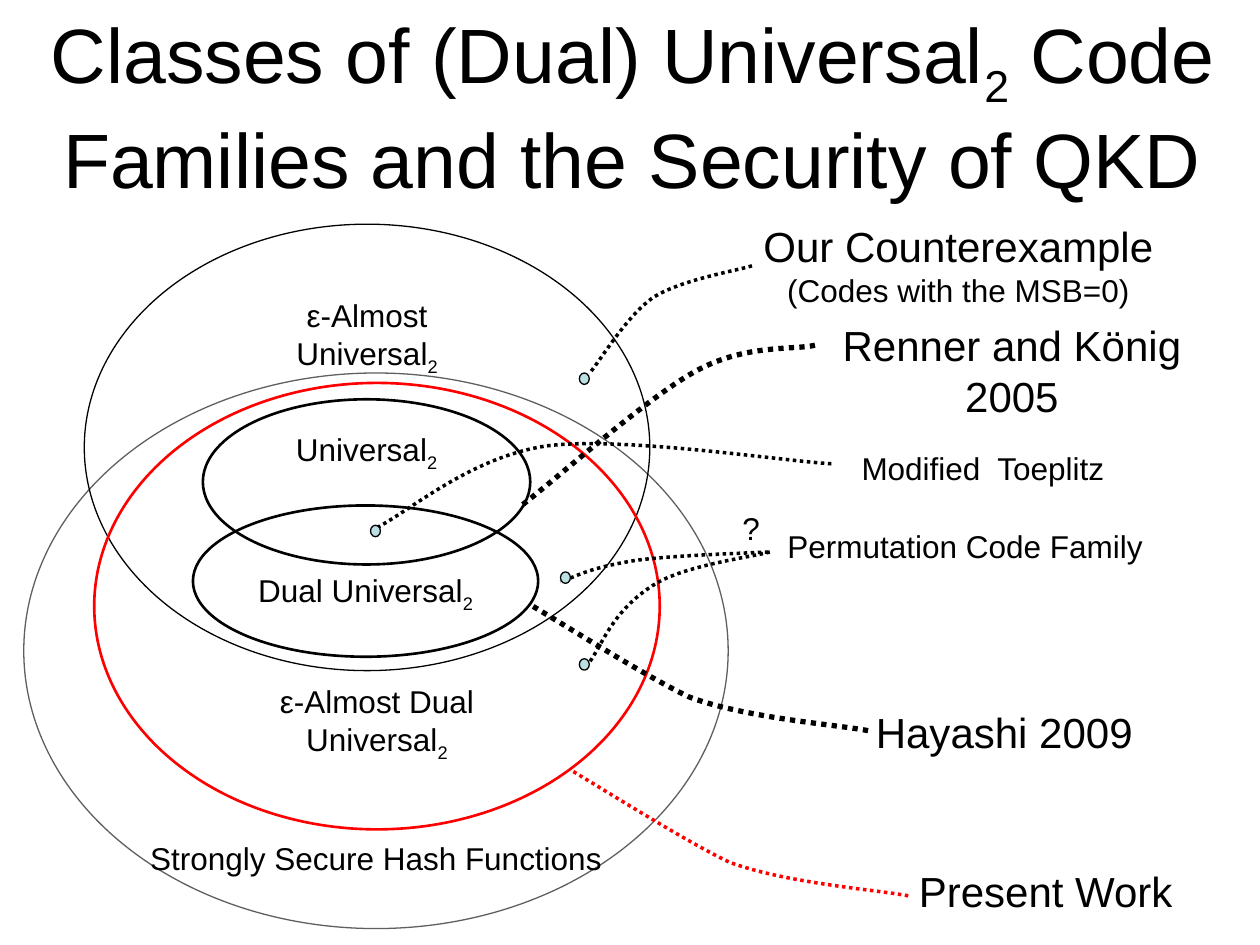
from dataclasses import dataclass

from lxml import etree
from pptx import Presentation
from pptx.dml.color import RGBColor
from pptx.enum.dml import MSO_LINE
from pptx.enum.shapes import MSO_SHAPE
from pptx.enum.text import MSO_ANCHOR, MSO_AUTO_SIZE, PP_ALIGN
from pptx.oxml.ns import qn
from pptx.util import Cm, Pt

OVAL = MSO_SHAPE.OVAL
DOTTED = MSO_LINE.ROUND_DOT
TOP = MSO_ANCHOR.TOP
CENTER = PP_ALIGN.CENTER
NO_FIT = MSO_AUTO_SIZE.NONE
FIT_SHAPE = MSO_AUTO_SIZE.SHAPE_TO_FIT_TEXT

FONT = "Arial"
COLORS = {"black": "000000", "gray": "5F5F5F", "red": "FF0000", "dot": "BBE0E3"}
SIDES = {"margin_left": 0, "margin_right": 0, "vertical_anchor": TOP}
TITLE_FORMAT = SIDES | {"word_wrap": True, "auto_size": NO_FIT,
                        "margin_top": Cm(0.13), "margin_bottom": 0}
SET_FORMAT = SIDES | {"word_wrap": True, "auto_size": NO_FIT, "margin_bottom": 0}
LABEL_FORMAT = SIDES | {"word_wrap": False, "auto_size": FIT_SHAPE}

Line = tuple[str, float]
Point = tuple[float, float]


@dataclass
class CodeSet:
    box: tuple[float, float, float, float]
    color: str
    width: float
    text_top: float
    lines: list[Line]


@dataclass
class Label:
    box: tuple[float, float, float, float]
    lines: list[Line]


@dataclass
class Leader:
    points: list[Point]
    width: float = 2
    color: str = "black"


def rgb(name: str) -> RGBColor:
    return RGBColor.from_string(COLORS[name])


def write(tf, lines: list[Line], fmt: dict) -> None:
    for name, value in fmt.items():
        setattr(tf, name, value)
    for i, (text, size) in enumerate(lines):
        p = tf.add_paragraph() if i else tf.paragraphs[0]
        p.alignment = CENTER
        for j, part in enumerate(text.split("_")):
            r = p.add_run()
            r.text = part
            r.font.name = FONT
            r.font.size = Pt(size)
            r.font.color.rgb = rgb("black")
            if j % 2:
                r._r.get_or_add_rPr().set("baseline", "-25000")


def outline(s, color: str, width: float) -> None:
    s.shadow.inherit = False
    s.line.color.rgb = rgb(color)
    s.line.width = Pt(width)


def draw_set(shapes, item: CodeSet) -> None:
    s = shapes.add_shape(OVAL, *map(Cm, item.box))
    s.fill.background()
    outline(s, item.color, item.width)
    write(s.text_frame, item.lines, SET_FORMAT | {"margin_top": Cm(item.text_top)})


def draw_dot(shapes, x: float, y: float) -> None:
    s = shapes.add_shape(OVAL, Cm(x), Cm(y), Cm(0.2), Cm(0.23))
    s.fill.solid()
    s.fill.fore_color.rgb = rgb("dot")
    outline(s, "black", 0.75)


def draw_label(shapes, item: Label) -> None:
    s = shapes.add_textbox(*map(Cm, item.box))
    write(s.text_frame, item.lines, LABEL_FORMAT)


def draw_leader(shapes, item: Leader) -> None:
    start, *rest = [(Cm(x), Cm(y)) for x, y in item.points]
    builder = shapes.build_freeform(*start)
    builder.add_line_segments(rest, close=False)
    s = builder.convert_to_shape()
    segments = list(s._element.iter(qn("a:lnTo")))
    for i in range(0, len(segments), 3):
        curve = etree.Element(qn("a:cubicBezTo"))
        segments[i].addprevious(curve)
        for segment in segments[i:i + 3]:
            curve.append(segment[0])
            segment.getparent().remove(segment)
    s.fill.background()
    outline(s, item.color, item.width)
    s.line.dash_style = DOTTED


TITLE = [("Classes of (Dual) Universal_2_ Code Families and the Security of QKD", 44)]
SETS = [
    CodeSet((0.48, 7.52, 14.2, 11.2), "gray", 0.75, 7.76,
            [("Strongly Secure Hash Functions", 18)]),
    CodeSet((1.7, 4.52, 11.4, 9), "black", 0.75, 0.14,
            [("ε-Almost", 18), ("Universal_2", 18)]),
    CodeSet((4.09, 8.05, 6.6, 3.33), "black", 1.5, 0.14, [("Universal_2", 18)]),
    CodeSet((3.89, 10.19, 6.96, 3.05), "black", 1.5, 0.87, [("Dual Universal_2", 18)]),
    CodeSet((1.9, 7.72, 11.4, 9), "red", 1.5, 4.72,
            [("ε-Almost Dual", 18), ("Universal_2", 18)]),
]
DOTS = [(11.68, 13.28), (11.68, 7.52), (7.47, 10.59), (11.3, 11.53)]
LABELS = [
    Label((15.14, 4.32, 8.36, 2.03),
          [("Our Counterexample", 24), ("(Codes with the MSB=0)", 18)]),
    Label((16.74, 6.32, 7.32, 2.29), [("Renner and König", 24), ("2005", 24)]),
    Label((16.31, 8.92, 7.01, 1.02), [("Modified  Toeplitz", 18)]),
    Label((14.71, 10.13, 0.86, 1.02), [("?", 18)]),
    Label((15.62, 10.49, 7.67, 1.02), [("Permutation Code Family", 18)]),
    Label((17.4, 14.12, 5.69, 1.27), [("Hayashi 2009", 24)]),
    Label((18.26, 17.32, 5.64, 1.27), [("Present Work", 24)]),
]
HAYASHI = [(17.5, 14.73), (16.89, 14.61), (15.04, 14.48), (13.89, 14.05),
           (13.03, 13.64), (11.38, 12.6), (10.69, 12.19)]
LEADERS = [
    Leader([(15.16, 5.36), (14.83, 5.46), (13.74, 5.64), (13.18, 5.99),
            (12.65, 6.35), (12.14, 7.21), (11.89, 7.52)]),
    Leader([(15.52, 11.13), (15.14, 11.23), (13.79, 11.4), (13.18, 11.79),
            (12.34, 12.32), (12.14, 13), (11.89, 13.34)]),
    Leader([(16.76, 9.35), (15.82, 9.3), (12.55, 8.79), (11.02, 8.99),
            (9.47, 9.22), (8.26, 10.31), (7.54, 10.67)]),
    Leader([(15.49, 11.13), (15.04, 11.15), (13.51, 11.2), (12.8, 11.3),
            (11.81, 11.46), (11.61, 11.63), (11.3, 11.73)]),
    Leader([(16.43, 6.96), (16.03, 7.06), (15.04, 6.93), (14.05, 7.47),
            (13.06, 8), (11.25, 9.63), (10.49, 10.21)], 3),
    Leader(HAYASHI, 3),
    Leader([(x + 0.81, y + 3.33) for x, y in HAYASHI], color="red"),
]


def main() -> None:
    prs = Presentation()
    prs.slide_width, prs.slide_height = Cm(25.4), Cm(19.05)
    shapes = prs.slides.add_slide(prs.slide_layouts[5]).shapes
    title = shapes.title
    title.left, title.top, title.width, title.height = map(Cm, (0.69, 0, 24.13, 3.18))
    write(title.text_frame, TITLE, TITLE_FORMAT)
    for item in SETS:
        draw_set(shapes, item)
    for item in LEADERS:
        draw_leader(shapes, item)
    for x, y in DOTS:
        draw_dot(shapes, x, y)
    for item in LABELS:
        draw_label(shapes, item)
    prs.save("out.pptx")


if __name__ == "__main__":
    main()
